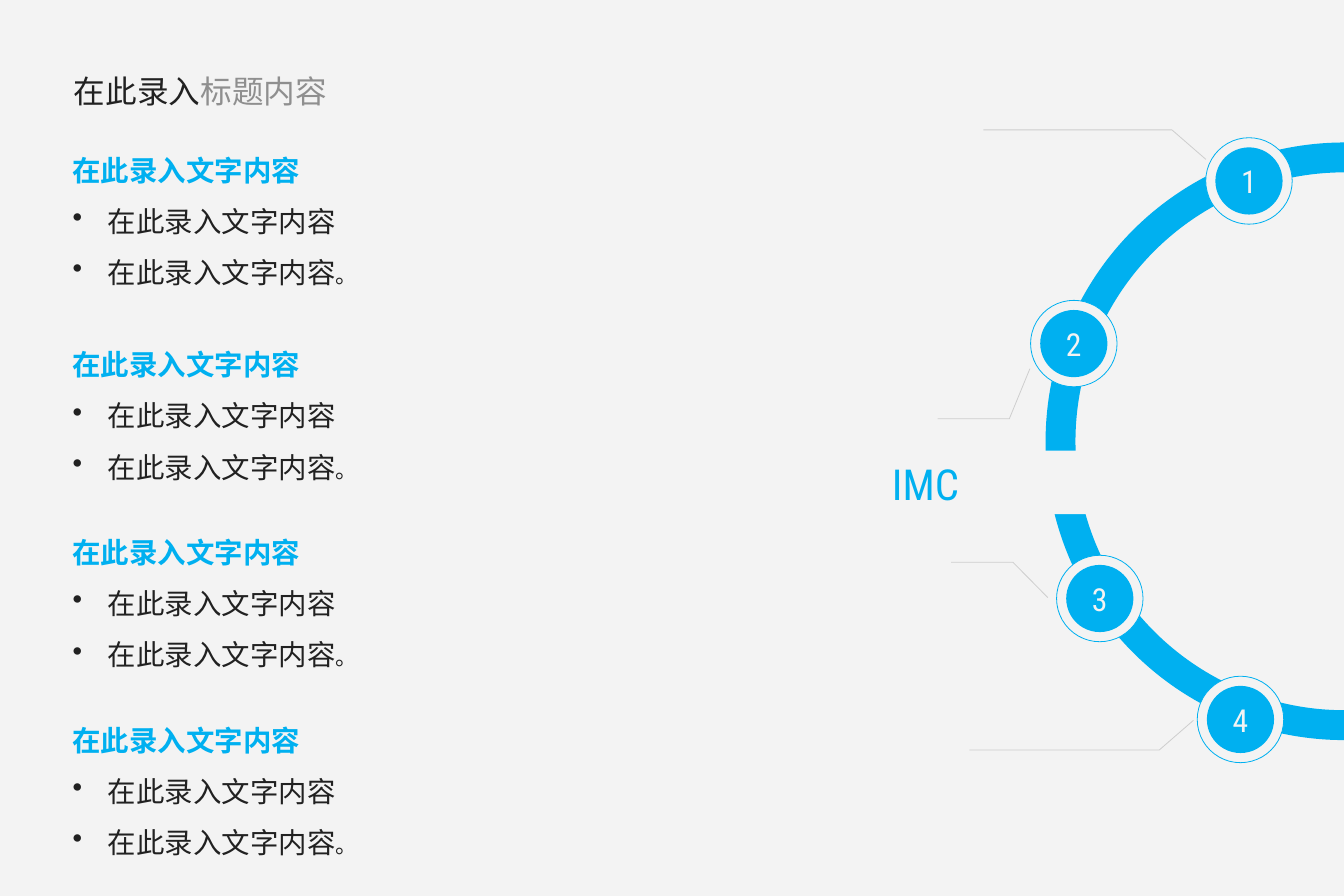
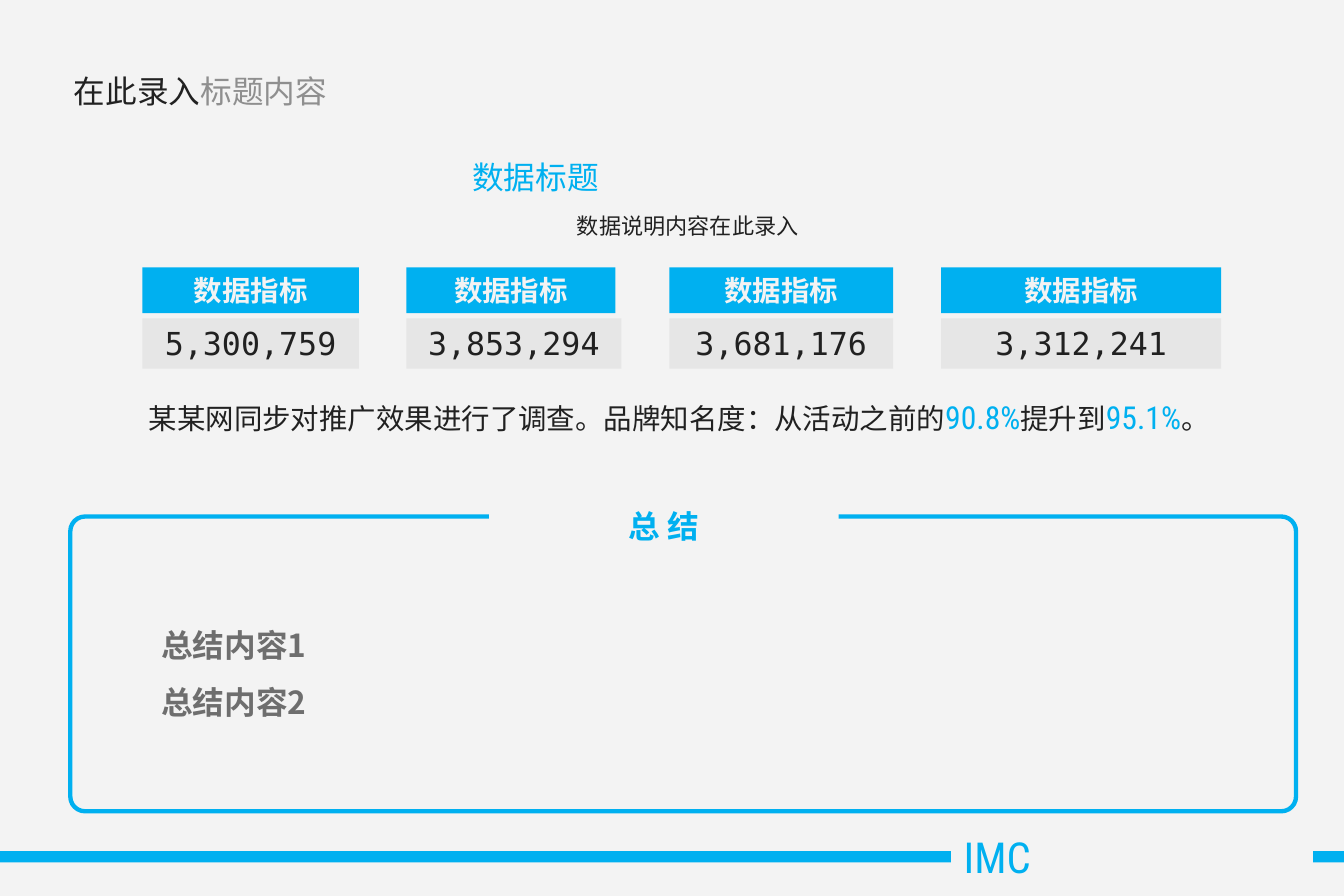
"""Build two slides: a numbered half-ring of topics and a data summary."""
from dataclasses import dataclass
from typing import Optional

from lxml import etree
from pptx import Presentation
from pptx.dml.color import RGBColor
from pptx.enum.shapes import MSO_SHAPE
from pptx.enum.text import MSO_ANCHOR, PP_ALIGN
from pptx.oxml.ns import qn
from pptx.shapes.autoshape import Shape
from pptx.shapes.shapetree import GroupShapes, SlideShapes
from pptx.slide import Slide
from pptx.util import Cm, Pt

ARC, OVAL, RECTANGLE, ROUNDED = (
    MSO_SHAPE.BLOCK_ARC, MSO_SHAPE.OVAL, MSO_SHAPE.RECTANGLE, MSO_SHAPE.ROUNDED_RECTANGLE)
TOP, MIDDLE = MSO_ANCHOR.TOP, MSO_ANCHOR.MIDDLE
LEFT, CENTER = PP_ALIGN.LEFT, PP_ALIGN.CENTER

COLORS = {
    "background": "F3F3F3", "accent": "00B0F0", "text": "212121", "muted": "8F8F8F",
    "summary": "6E6E6E", "value": "E6E6E6", "leader": "CECECE",
}
CHINESE, TITLE, LATIN, MONO = (
    "Noto Sans CJK SC", "Calibri", "Roboto Condensed", "DejaVu Sans Mono")
NARROW_INSET, WIDE_INSET = (0.25, 0.13), (0.28, 0.15)
RING_SIZE, BADGE_SIZE, DISC_SIZE = 13.34, 1.93, 1.5
HEADER_TOP, HEADER_HEIGHT, VALUE_TOP, VALUE_HEIGHT = 5.97, 1.02, 7.11, 1.12
TOPIC_TOPS = (2.9, 7.24, 11.43, 15.62)


@dataclass(frozen=True)
class Box:
    """Place and size in centimetres."""
    left: float
    top: float
    width: float
    height: float


@dataclass(frozen=True)
class Piece:
    """A stretch of text in one style."""
    text: str
    size: float
    color: str = "text"
    font: str = CHINESE
    bold: bool = False


@dataclass(frozen=True)
class Line:
    """A paragraph made of pieces."""
    pieces: tuple[Piece, ...]
    align: PP_ALIGN = LEFT
    spacing: float = 1.0
    hanging: float = 0
    bullet: bool = False


@dataclass(frozen=True)
class Stop:
    """A numbered badge on the ring with its leader line."""
    center: tuple[float, float]
    leader: tuple[tuple[float, float], ...]


@dataclass(frozen=True)
class Metric:
    """A header above a value."""
    left: float
    header_width: float
    value_width: float
    value: str


STOPS = (
    Stop((27.88, 4.04), ((26.92, 3.56), (26.16, 2.9), (21.95, 2.9))),
    Stop((23.97, 7.67), ((22.99, 8.23), (22.53, 9.35), (20.93, 9.35))),
    Stop((24.55, 13.36), ((23.39, 13.34), (22.61, 12.55), (21.23, 12.55))),
    Stop((27.69, 16.06), ((26.64, 16.08), (25.88, 16.74), (21.64, 16.74))),
)
METRICS = (
    Metric(3.18, 4.83, 4.83, "5,300,759"),
    Metric(9.07, 4.67, 4.8, "3,853,294"),
    Metric(14.94, 5.0, 5.0, "3,681,176"),
    Metric(21.01, 6.25, 6.25, "3,312,241"),
)


def rgb(name: str) -> RGBColor:
    """Look up a named colour."""
    return RGBColor.from_string(COLORS[name])


def lengths(box: Box) -> tuple[Cm, Cm, Cm, Cm]:
    """Turn a box into slide lengths."""
    return Cm(box.left), Cm(box.top), Cm(box.width), Cm(box.height)


def centered(center: tuple[float, float], size: float) -> Box:
    """Return a square box around a centre."""
    return Box(center[0] - size / 2, center[1] - size / 2, size, size)


def style(shape: Shape, fill: Optional[str], line: Optional[str], weight: float) -> None:
    """Set fill and outline, and drop the shadow."""
    shape.shadow.inherit = False
    if fill:
        shape.fill.solid()
        shape.fill.fore_color.rgb = rgb(fill)
    else:
        shape.fill.background()
    if line:
        shape.line.color.rgb = rgb(line)
        shape.line.width = Pt(weight)
    else:
        shape.line.fill.background()


def add_shape(shapes: SlideShapes | GroupShapes, kind: MSO_SHAPE, box: Box,
              fill: Optional[str] = None, line: Optional[str] = None,
              weight: float = 0.5) -> Shape:
    """Add a styled preset shape."""
    shape = shapes.add_shape(kind, *lengths(box))
    style(shape, fill, line, weight)
    return shape


def write(shape: Shape, *lines: Line, anchor: MSO_ANCHOR = TOP,
          inset: tuple[float, float] = NARROW_INSET) -> None:
    """Write paragraphs into a shape."""
    frame = shape.text_frame
    frame.word_wrap = True
    frame.vertical_anchor = anchor
    frame.margin_left = frame.margin_right = Cm(inset[0])
    frame.margin_top = frame.margin_bottom = Cm(inset[1])
    for index, line in enumerate(lines):
        paragraph = frame.add_paragraph() if index else frame.paragraphs[0]
        paragraph.alignment = line.align
        paragraph.line_spacing = line.spacing
        properties = paragraph._p.get_or_add_pPr()
        properties.set("marL", str(Cm(line.hanging)))
        properties.set("indent", str(-Cm(line.hanging)))
        if line.bullet:
            color = etree.SubElement(properties, qn("a:buClr"))
            etree.SubElement(color, qn("a:srgbClr"), val=COLORS["text"])
            etree.SubElement(properties, qn("a:buChar"), char="•")
        for piece in line.pieces:
            run = paragraph.add_run()
            run.text = piece.text
            run.font.size = Pt(piece.size)
            run.font.bold = piece.bold
            run.font.color.rgb = rgb(piece.color)
            run.font.name = piece.font
            etree.SubElement(run._r.get_or_add_rPr(), qn("a:ea"), typeface=CHINESE)


def add_text(slide: Slide, box: Box, *lines: Line, anchor: MSO_ANCHOR = TOP,
             inset: tuple[float, float] = NARROW_INSET) -> None:
    """Add a text box."""
    write(slide.shapes.add_textbox(*lengths(box)), *lines, anchor=anchor, inset=inset)


def add_title(slide: Slide) -> None:
    """Add the two-tone slide title."""
    pieces = (Piece("在此录入", 20, font=TITLE), Piece("标题内容", 20, "muted", TITLE))
    add_text(slide, Box(1.37, 1.24, 27, 1.57), Line(pieces), anchor=MIDDLE, inset=WIDE_INSET)


def add_label(slide: Slide, left: float, top: float) -> None:
    """Add the IMC label on its background patch."""
    patch = add_shape(slide.shapes, RECTANGLE, Box(left, top, 8.08, 1.42), "background")
    write(patch, Line((Piece("IMC", 27, "accent", LATIN),)), inset=WIDE_INSET)


def add_stop(slide: Slide, number: int, stop: Stop) -> None:
    """Add a numbered badge and its leader line."""
    add_shape(slide.shapes, OVAL, centered(stop.center, BADGE_SIZE), "background", "accent")
    disc = add_shape(slide.shapes, OVAL, centered(stop.center, DISC_SIZE), "accent")
    write(disc, Line((Piece(str(number), 20, "background", LATIN),), CENTER), anchor=MIDDLE)
    start, *rest = [(Cm(x), Cm(y)) for x, y in stop.leader]
    builder = slide.shapes.build_freeform(*start)
    builder.add_line_segments(rest, close=False)
    style(builder.convert_to_shape(), None, "leader", 0.5)


def add_topic(slide: Slide, top: float) -> None:
    """Add a heading with two bullets."""
    words = "在此录入文字内容"
    body = Piece(words, 18)
    add_text(
        slide, Box(1.37, top, 21.64, 3.68),
        Line((Piece(words, 18, "accent", bold=True),), spacing=1.5),
        Line((body,), spacing=1.5, hanging=0.79, bullet=True),
        Line((body, Piece("。", 14)), spacing=1.5, hanging=0.79, bullet=True))


def add_metric(slide: Slide, metric: Metric) -> None:
    """Add a grouped header and value."""
    shapes = slide.shapes.add_group_shape().shapes
    header = add_shape(shapes, RECTANGLE, Box(
        metric.left, HEADER_TOP, metric.header_width, HEADER_HEIGHT), "accent")
    write(header, Line((Piece("数据指标", 18, "background", TITLE, True),), CENTER))
    value = add_shape(shapes, RECTANGLE, Box(
        metric.left, VALUE_TOP, metric.value_width, VALUE_HEIGHT), "value")
    write(value, Line((Piece(metric.value, 20, font=MONO),), CENTER))


def build_ring(slide: Slide) -> None:
    """Build the slide with the numbered half-ring."""
    ring = add_shape(slide.shapes, ARC, Box(23.34, 3.18, RING_SIZE, RING_SIZE), "accent")
    ring.rotation = 270
    for index, value in enumerate((108, 0, 0.05)):
        ring.adjustments[index] = value
    for number, stop in enumerate(STOPS, 1):
        add_stop(slide, number, stop)
    add_label(slide, 19.63, 10.06)
    for top in TOPIC_TOPS:
        add_topic(slide, top)
    add_title(slide)


def build_summary(slide: Slide) -> None:
    """Build the slide with metrics and the summary frame."""
    add_shape(slide.shapes, RECTANGLE, Box(0, 19, 30, 0.25), "accent")
    add_label(slide, 21.23, 18.39)
    summary = add_shape(
        slide.shapes, ROUNDED, Box(1.57, 11.53, 27.36, 6.58), None, "accent", 2.75)
    summary.adjustments[0] = 0.05
    add_title(slide)
    for metric in METRICS:
        add_metric(slide, metric)
    add_text(slide, Box(3.33, 4.62, 24.05, 0.86),
             Line((Piece("数据说明内容在此录入", 14),), CENTER))
    heading = add_shape(slide.shapes, RECTANGLE, Box(10.29, 3.4, 9.04, 1.12), "background")
    write(heading, Line((Piece("数据标题", 20, "accent"),)))
    add_text(slide, Box(3.07, 8.76, 24.56, 1.96), Line((
        Piece("某某网同步对推广效果进行了调查。品牌知名度：从活动之前的", 18),
        Piece("90.8%", 20, "accent", LATIN),
        Piece("提升到", 18),
        Piece("95.1%", 20, "accent", LATIN),
        Piece("。", 18)), hanging=2.87))
    caption = add_shape(slide.shapes, RECTANGLE, Box(10.92, 10.77, 7.8, 1.52), "background")
    write(caption, Line((Piece("总 结", 20, "accent", bold=True),), CENTER, 1.5))
    add_text(slide, Box(3.35, 13.41, 15.01, 2.79), *(
        Line((Piece(f"总结内容{number}", 20, "summary", bold=True),), spacing=1.5)
        for number in (1, 2)))


def main() -> None:
    """Create and save the presentation."""
    presentation = Presentation()
    presentation.slide_width, presentation.slide_height = Cm(30), Cm(20)
    background = presentation.slide_master.background.fill
    background.solid()
    background.fore_color.rgb = rgb("background")
    for build in (build_ring, build_summary):
        build(presentation.slides.add_slide(presentation.slide_layouts[6]))
    presentation.save("out.pptx")


if __name__ == "__main__":
    main()
